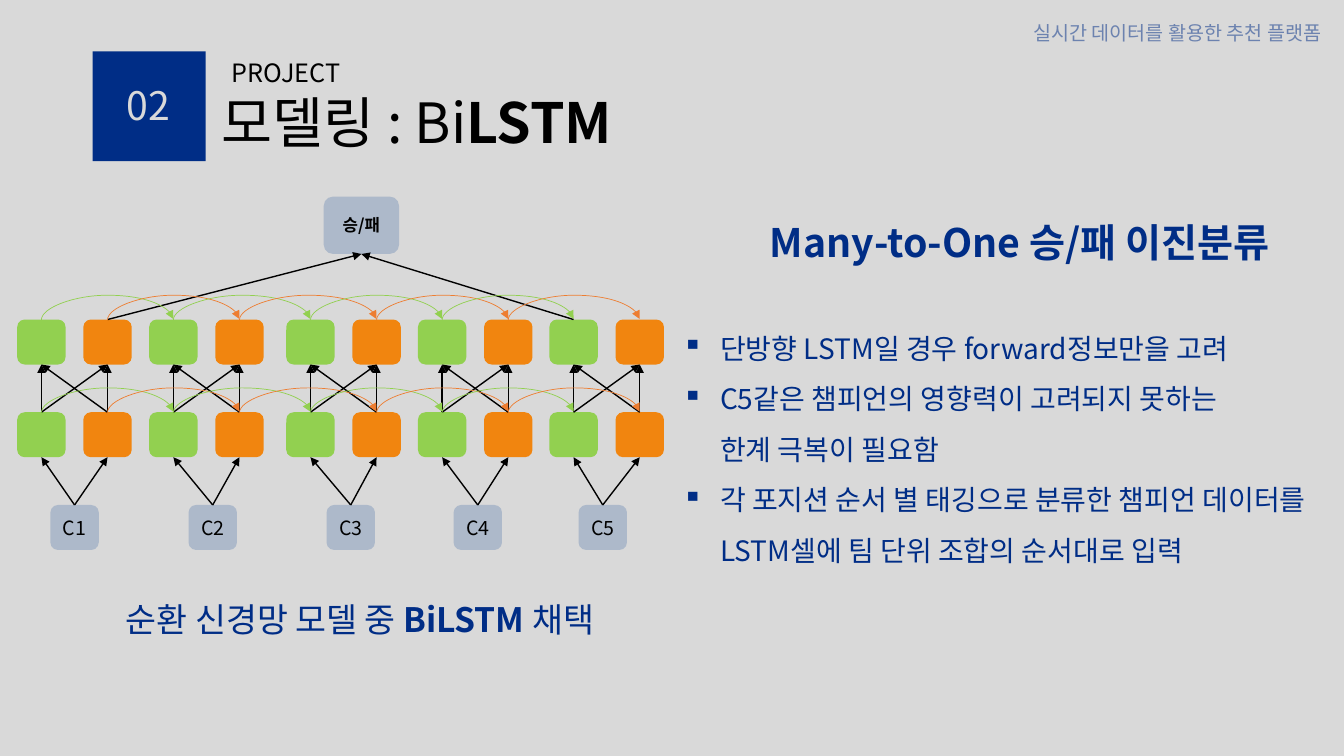
from dataclasses import dataclass
from itertools import product

from lxml.etree import SubElement
from pptx import Presentation
from pptx.dml.color import RGBColor
from pptx.enum.shapes import MSO_CONNECTOR as Link, MSO_SHAPE as Shape
from pptx.enum.text import MSO_ANCHOR as Anchor, PP_ALIGN as Align
from pptx.oxml.ns import qn
from pptx.util import Emu, Inches, Pt

FONT = "Noto Sans CJK KR"
NAVY, GREY, BLACK = "002D86", "D9D9D9", "000000"
GREEN, ORANGE, STEEL = "92D050", "F1850F", "ADB9CA"
ARC_ORANGE = "ED7D31"
TOP, BOTTOM = 0, 2

prs = Presentation()
prs.slide_width, prs.slide_height = Inches(13.333), Inches(7.5)
s = prs.slides.add_slide(prs.slide_layouts[6])


@dataclass
class Box:
    """Place in percent of the slide's width and height."""
    x: float
    y: float
    w: float
    h: float

    def emu(self) -> tuple:
        return across(self.x), down(self.y), across(self.w), down(self.h)


@dataclass
class Run:
    text: str
    size: float
    color: str = NAVY
    bold: bool = False


@dataclass
class Para:
    runs: list
    align: Align = Align.LEFT
    spacing: float = 1.0
    before: float = 0
    indent: float = 0
    bullet: str = ""


def across(share: float) -> Emu:
    return Emu(round(prs.slide_width * share / 100))


def down(share: float) -> Emu:
    return Emu(round(prs.slide_height * share / 100))


def rgb(color: str) -> RGBColor:
    return RGBColor.from_string(color)


def write(sp, paras: list, anchor: Anchor = Anchor.TOP, wrap: bool = True) -> None:
    tf = sp.text_frame
    tf.word_wrap, tf.vertical_anchor = wrap, anchor
    for i, para in enumerate(paras):
        p = tf.add_paragraph() if i else tf.paragraphs[0]
        pPr = p._p.get_or_add_pPr()
        if para.indent:
            pPr.set("marL", str(across(para.indent)))
        if para.bullet:
            pPr.set("indent", str(-across(para.indent)))
            SubElement(pPr, qn("a:buChar"), char=para.bullet)
        formats = {"alignment": para.align, "line_spacing": para.spacing}
        if para.before:
            formats["space_before"] = Pt(para.before)
        for name, value in formats.items():
            setattr(p, name, value)
        for run in para.runs:
            r = p.add_run()
            r.text = run.text
            for name, value in {"size": Pt(run.size), "bold": run.bold, "name": FONT}.items():
                setattr(r.font, name, value)
            r.font.color.rgb = rgb(run.color)
            SubElement(r._r.get_or_add_rPr(), qn("a:ea"), typeface=FONT)


def add_text(box: Box, paras: list, **options):
    sp = s.shapes.add_textbox(*box.emu())
    write(sp, paras, **options)
    return sp


def add_block(parent, kind: Shape, box: Box, color: str):
    sp = parent.add_shape(kind, *box.emu())
    sp.shadow.inherit = False
    sp.fill.solid()
    sp.fill.fore_color.rgb = rgb(color)
    sp.line.fill.background()
    return sp


def add_node(box: Box, label: str, size: float, bold: bool = False):
    sp = add_block(s.shapes, Shape.ROUNDED_RECTANGLE, box, STEEL)
    write(sp, [Para([Run(label, size, BLACK, bold)], Align.CENTER)], Anchor.MIDDLE)
    return sp


def style_arrow(line, color: str, width: float) -> None:
    line.line.color.rgb = rgb(color)
    line.line.width = Pt(width)
    SubElement(line.line._get_or_add_ln(), qn("a:tailEnd"), type="triangle")
    SubElement(line._element.spPr, qn("a:effectLst"))


def add_arrow(start, end) -> None:
    line = s.shapes.add_connector(Link.STRAIGHT, 0, 0, 0, 0)
    line.begin_connect(start, TOP)
    line.end_connect(end, BOTTOM)
    style_arrow(line, BLACK, 1)


def add_arc(start, end, color: str) -> None:
    """Arch over the cells: a quarter-turned curve, 0.25 inch high."""
    x1, x2 = (cell.left + cell.width // 2 for cell in (start, end))
    mid_x, mid_y = (x1 + x2) // 2, start.top
    thin, half = Inches(0.01), (x2 - x1) // 2
    line = s.shapes.add_connector(Link.CURVE, mid_x + thin // 2, mid_y + half,
                                  mid_x - thin // 2, mid_y - half)
    spPr = line._element.spPr
    spPr.find(qn("a:xfrm")).set("rot", "5400000")
    guides = spPr.find(qn("a:prstGeom")).find(qn("a:avLst"))
    SubElement(guides, qn("a:gd"), name="adj1", fmla="val 2500000")
    style_arrow(line, color, 0.5)


# Background and running header
s.background.fill.solid()
s.background.fill.fore_color.rgb = rgb(GREY)
header = add_block(s.shapes, Shape.RECTANGLE, Box(76.13, 2.13, 23.85, 4.53), GREY)
write(header, [Para([Run("실시간 데이터를 활용한 추천 플랫폼", 14)])], wrap=False)
header_color = header.text_frame.paragraphs[0].runs[0]._r.rPr.find(".//" + qn("a:srgbClr"))
SubElement(header_color, qn("a:alpha"), val="50000")

# Section number and title
add_block(s.shapes, Shape.RECTANGLE, Box(6.9, 6.8, 8.4, 14.53), NAVY)
add_text(Box(15.75, 12, 86.25, 9.33),
         [Para([Run("모델링 : Bi", 39.6, BLACK), Run("LSTM", 39.6, BLACK, True)], spacing=0.9)],
         anchor=Anchor.MIDDLE)
add_text(Box(16.5, 7.33, 80.33, 5.07), [Para([Run("PROJECT", 18, BLACK)], spacing=0.9)])
add_text(Box(8.1, 10.8, 5.93, 11.2), [Para([Run("02", 28, GREY)], Align.CENTER, 0.9)])

# Conclusion and explanation
add_text(Box(8.63, 78.53, 38.18, 6.67),
         [Para([Run("순환 신경망 모델 중 ", 24), Run("BiLSTM ", 24, bold=True), Run("채택", 24)])],
         wrap=False)
POINTS = [
    ("단방향 LSTM일 경우 forward정보만을 고려", "▪", 35),
    ("C5같은 챔피언의 영향력이 고려되지 못하는", "▪", 0),
    ("한계 극복이 필요함", "", 0),
    ("각 포지션 순서 별 태깅으로 분류한 챔피언 데이터를 "
     "LSTM셀에 팀 단위 조합의 순서대로 입력", "▪", 0),
]
add_text(Box(50.03, 28.27, 51.68, 46.13),
         [Para([Run("Many-to-One 승/패 이진분류", 28, bold=True)], Align.CENTER)]
         + [Para([Run(text, 20)], spacing=1.5, before=before, indent=2.81, bullet=bullet)
            for text, bullet, before in POINTS])

# Network: inputs, two rows of forward and backward cells, result
CELL_W, CELL_H, PAIR_STEP = 3.6, 5.95, 4.92
PAIR_X = [1.28, 11.1, 21.3, 31.1, 40.88]
INPUT_X = [3.75, 14.03, 24.3, 33.75, 43.05]
inputs = [add_node(Box(x, 66.8, CELL_W, CELL_H), f"C{i}", 14)
          for i, x in enumerate(INPUT_X, 1)]
result = add_node(Box(24.08, 26, 5.62, 7.6), "승/패", 12, True)


def add_row(y: float) -> list:
    group = s.shapes.add_group_shape()
    return [[add_block(group.shapes, Shape.ROUNDED_RECTANGLE,
                       Box(x + i * PAIR_STEP, y, CELL_W, CELL_H), color)
             for i, color in enumerate((GREEN, ORANGE))] for x in PAIR_X]


lower, upper = add_row(54.53), add_row(42.27)

# Arrows between the layers
for node, low, high in zip(inputs, lower, upper):
    for cell in low:
        add_arrow(node, cell)
    for start, end in product(low, high):
        add_arrow(start, end)
for cell in (upper[0][1], upper[-1][0]):
    add_arrow(cell, result)

# Arcs along each row
for row in (lower, upper):
    for pair, following in zip(row, row[1:]):
        for start, end, color in zip(pair, following, (GREEN, ARC_ORANGE)):
            add_arc(start, end, color)

prs.save("out.pptx")
